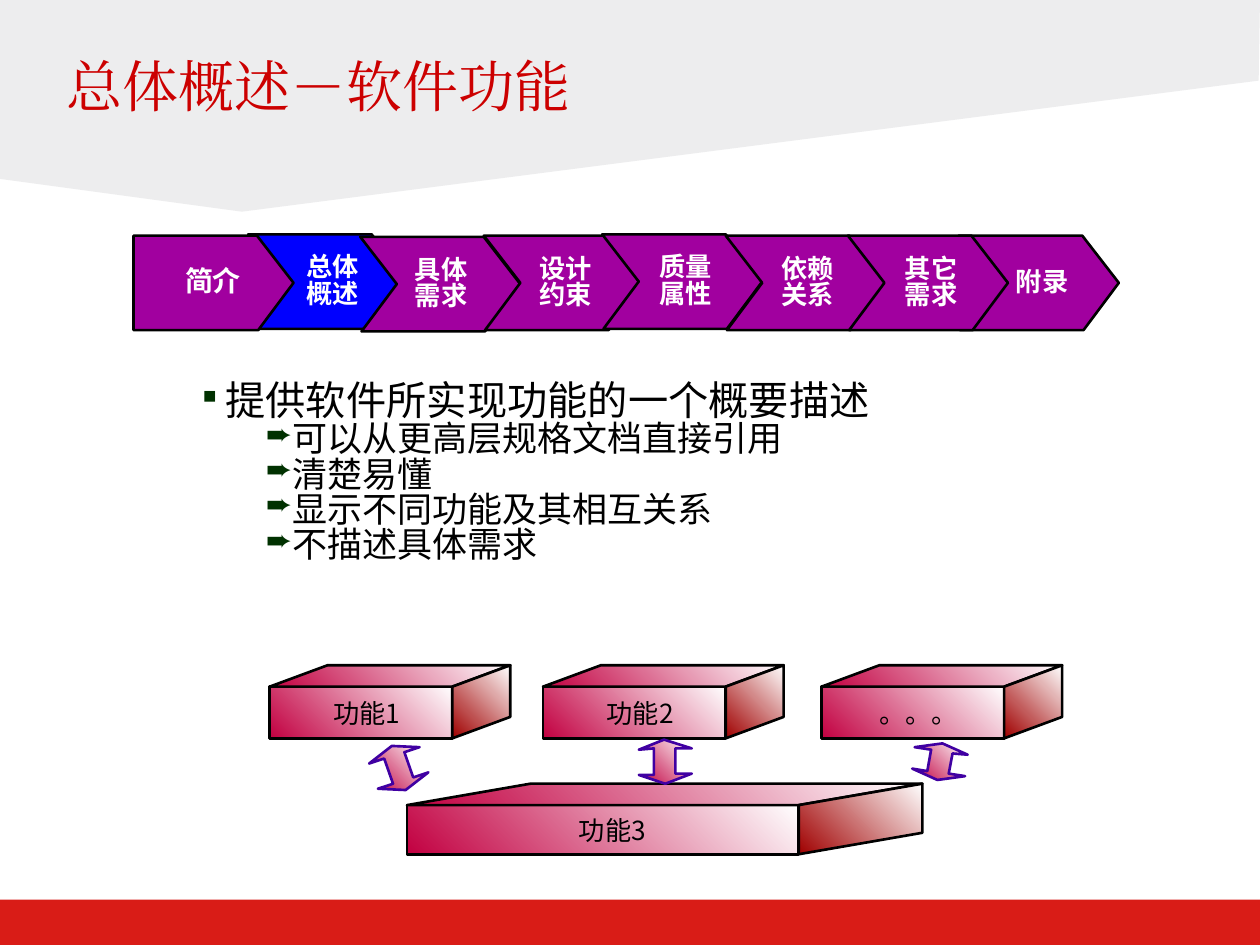
from dataclasses import dataclass

from lxml.etree import SubElement
from pptx import Presentation
from pptx.dml.color import RGBColor
from pptx.enum.shapes import MSO_SHAPE as Shape
from pptx.enum.text import MSO_ANCHOR as Anchor, PP_ALIGN as Align
from pptx.oxml.ns import qn
from pptx.util import Inches, Pt


@dataclass(frozen=True)
class Theme:
    sans: str = "Noto Sans CJK SC"
    serif: str = "Times New Roman"
    white: str = "FFFFFF"
    black: str = "000000"
    backdrop: str = "EDEDEE"
    footer: str = "D91C17"
    title: str = "CC0000"
    step: str = "A1009F"
    current: str = "0000FF"
    bullet: str = "003100"
    face: str = "C20041"
    side: str = "A00000"
    arrow: str = "4000A2"
    title_size: float = 32
    topic_size: float = 23
    detail_size: float = 20
    first_size: float = 16
    label_size: float = 15
    line_width: float = 1.5


THEME = Theme()


def rgb(value):
    return RGBColor.from_string(value)


def add_bullet(para, symbol, scale, margin, indent):
    props = para._p.get_or_add_pPr()
    props.set("marL", str(Inches(margin)))
    props.set("indent", str(Inches(indent)))
    color = SubElement(props, qn("a:buClr"))
    SubElement(color, qn("a:srgbClr"), val=THEME.bullet)
    SubElement(props, qn("a:buSzPct"), val=str(scale * 1000))
    SubElement(props, qn("a:buChar"), char=symbol)


def write(para, text, size, color=THEME.black, font=THEME.sans, bold=False):
    span = para.add_run()
    span.text = text
    span.font.size = Pt(size)
    span.font.bold = bold
    span.font.color.rgb = rgb(color)
    span.font.name = font
    SubElement(span._r.get_or_add_rPr(), qn("a:ea"), typeface=font)


def add_frame(shapes, box, anchor=Anchor.TOP, inset=(0, 0)):
    frame = shapes.add_textbox(*map(Inches, box)).text_frame
    frame.word_wrap = True
    frame.vertical_anchor = anchor
    frame.margin_left = frame.margin_right = Inches(inset[0])
    frame.margin_top = frame.margin_bottom = Inches(inset[1])
    return frame


def add_label(shapes, box, text, size=THEME.label_size, spacing=None, **style):
    para = add_frame(shapes, box, Anchor.MIDDLE).paragraphs[0]
    para.alignment = Align.CENTER
    para.line_spacing = spacing
    write(para, text, size, **style)


def add_outline(shapes, points, fill, line=THEME.black, gradient=False):
    corners = [(Inches(x), Inches(y)) for x, y in points]
    builder = shapes.build_freeform(*corners[0])
    builder.add_line_segments(corners[1:], close=True)
    shape = builder.convert_to_shape()
    shape.shadow.inherit = False
    if gradient:
        shape.fill.gradient()
        shape.fill.gradient_angle = 225
        for stop, color in zip(shape.fill.gradient_stops, (THEME.white, fill)):
            stop.color.rgb = rgb(color)
    else:
        shape.fill.solid()
        shape.fill.fore_color.rgb = rgb(fill)
    if line:
        shape.line.color.rgb = rgb(line)
        shape.line.width = Pt(THEME.line_width)
    else:
        shape.line.fill.background()


def add_background(page, width, height):
    footer_top = 7.14
    footer = page.shapes.add_shape(
        Shape.RECTANGLE, 0, Inches(footer_top), Inches(width), Inches(height - footer_top)
    )
    footer.shadow.inherit = False
    footer.fill.solid()
    footer.fill.fore_color.rgb = rgb(THEME.footer)
    footer.line.fill.background()
    edge = [(0, 0), (width, 0), (9.99, 0.64), (1.92, 1.68), (0, 1.42)]
    add_outline(page.shapes, edge, THEME.backdrop, line=None)


def add_title(page, box, text):
    para = add_frame(page.shapes, box, inset=(0.1, 0.05)).paragraphs[0]
    write(para, text, THEME.title_size, THEME.title, THEME.serif)


def add_step(shapes, left, top, label_left, text, first=False, current=False):
    width, height, shoulder, notch = 1.27, 0.75, 0.98, 0.29
    middle = top + height / 2
    points = [
        (left, top),
        (left + shoulder, top),
        (left + width, middle),
        (left + shoulder + 0.01, top + height),
        (left if first else left + 0.01, top + height),
    ]
    if not first:
        points.append((left + notch, middle))
    add_outline(shapes, points, THEME.current if current else THEME.step)
    add_label(
        shapes, (label_left, top + 0.11, 0.58, 0.54), text,
        THEME.first_size if first else THEME.label_size,
        spacing=0.84, color=THEME.white, bold=True,
    )


def add_process(page):
    group = page.shapes.add_group_shape()
    steps = [
        (1.97, 1.86, 2.35, "总体概述"),
        (2.86, 1.88, 3.21, "具体需求"),
        (3.84, 1.87, 4.2, "设计约束"),
        (4.78, 1.86, 5.15, "质量属性"),
        (1.06, 1.87, 1.4, "简介"),
        (7.61, 1.87, 7.98, "附录"),
        (5.76, 1.87, 6.12, "依赖关系"),
        (6.73, 1.87, 7.1, "其它需求"),
    ]
    for left, top, label_left, text in steps:
        add_step(group.shapes, left, top, label_left, text,
                 first=text == "简介", current=text == "总体概述")


def add_points(page, box, topic, details):
    frame = add_frame(page.shapes, box)
    para = frame.paragraphs[0]
    para.line_spacing = 0.84
    add_bullet(para, "■", 46, 0.18, -0.18)
    write(para, topic, THEME.topic_size)
    for detail in details:
        para = frame.add_paragraph()
        para.level = 1
        para.line_spacing = 0.84
        add_bullet(para, "➨", 90, 0.59, -0.09)
        write(para, detail, THEME.detail_size)


def add_block(shapes, box, depth, rise, text, label_shift=0.03):
    left, top, width, height = box
    right, shelf, bottom = left + width - depth, top + rise, top + height
    back = left + width
    front = [(left, bottom), (right, bottom), (right, shelf), (left, shelf)]
    lid = [(left, shelf), (left + depth, top), (back, top), (right, shelf)]
    side = [(right, bottom), (back, bottom - rise), (back, top), (right, shelf)]
    for points, color in ((front, THEME.face), (lid, THEME.face), (side, THEME.side)):
        add_outline(shapes, points, color, gradient=True)
    label_box = (left + label_shift, shelf + 0.01, right - left + 0.03, bottom - shelf - 0.02)
    add_label(shapes, label_box, text)


def add_functions(page):
    group = page.shapes.add_group_shape()
    add_block(group.shapes, (3.23, 6.22, 4.09, 0.56), 0.98, 0.17, "功能3", 0.06)
    for left, text in ((2.14, "功能1"), (4.31, "功能2"), (6.52, "。。。")):
        add_block(group.shapes, (left, 5.28, 1.91, 0.58), 0.46, 0.17, text)


def add_arrows(page):
    arrows = [
        [(3.12, 6.22), (3.05, 6.02), (2.93, 6.06), (3.11, 5.92), (3.33, 5.93),
         (3.21, 5.97), (3.28, 6.17), (3.4, 6.13), (3.22, 6.27), (3, 6.26)],
        [(5.19, 6.15), (5.19, 5.94), (5.07, 5.95), (5.27, 5.87), (5.49, 5.94),
         (5.36, 5.94), (5.36, 6.14), (5.49, 6.14), (5.28, 6.22), (5.07, 6.15)],
        [(7.56, 5.98), (7.53, 6.14), (7.66, 6.16), (7.44, 6.19), (7.24, 6.1),
         (7.36, 6.12), (7.39, 5.95), (7.26, 5.93), (7.48, 5.9), (7.68, 5.99)],
    ]
    for points in arrows:
        add_outline(page.shapes, points, THEME.face, THEME.arrow, gradient=True)


def main():
    width, height = 10, 7.5
    deck = Presentation()
    deck.slide_width, deck.slide_height = Inches(width), Inches(height)
    page = deck.slides.add_slide(deck.slide_layouts[6])
    add_background(page, width, height)
    add_title(page, (0.43, 0.36, 7.57, 0.94), "总体概述－软件功能")
    add_process(page)
    add_points(page, (1.61, 3.04, 7.66, 2.64), "提供软件所实现功能的一个概要描述", [
        "可以从更高层规格文档直接引用",
        "清楚易懂",
        "显示不同功能及其相互关系",
        "不描述具体需求",
    ])
    add_functions(page)
    add_arrows(page)
    deck.save("out.pptx")


if __name__ == "__main__":
    main()
